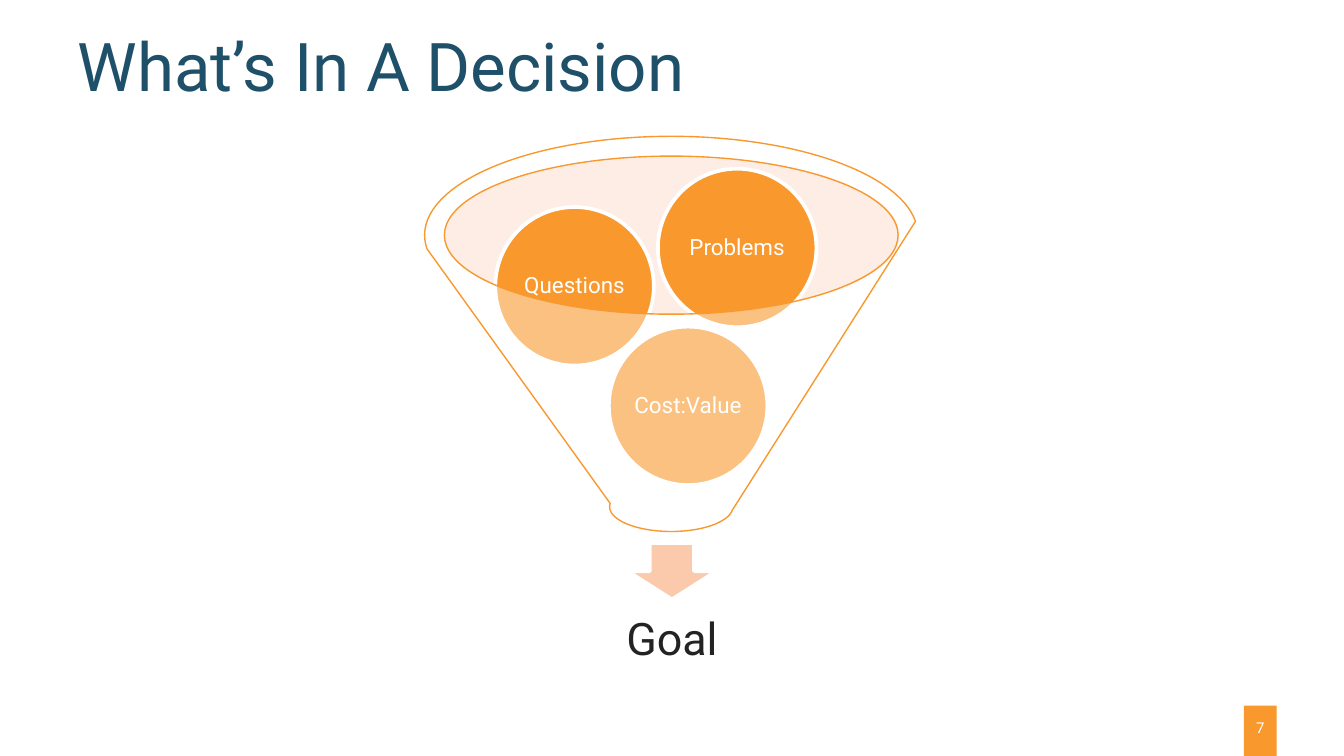
from typing import NamedTuple, Optional

from lxml.etree import SubElement
from pptx import Presentation
from pptx.dml.color import RGBColor as RGB
from pptx.enum.shapes import MSO_SHAPE as Kind
from pptx.enum.text import MSO_ANCHOR as Anchor, MSO_AUTO_SIZE as Auto, PP_ALIGN as Align
from pptx.oxml.ns import qn
from pptx.util import Emu, Pt

PX = 4572  # 200 px to the inch
FONT = "Roboto"
NAVY = RGB(0x1F, 0x50, 0x6A)
ORANGE = RGB(0xF8, 0x98, 0x2D)
PEACH = RGB(0xFC, 0xD4, 0xBE)
SALMON = RGB(0xFB, 0xCA, 0xAD)
WHITE = RGB(0xFF, 0xFF, 0xFF)
INK = RGB(0x23, 0x23, 0x23)


class Box(NamedTuple):
    left: int
    top: int
    width: int
    height: int


class Ball(NamedTuple):
    label: str
    left: int
    top: int


BALL = 236  # diameter
BALLS = [
    Ball("Cost:Value", 906, 486),
    Ball("Questions", 737, 308),
    Ball("Problems", 979, 251),
]


def px(num: int) -> Emu:
    return Emu(num * PX)


def place(box: Box) -> list[Emu]:
    return [px(num) for num in box]


def write(shape, text: str, size: int, color: RGB, align=Align.CENTER,
          inset: Optional[int] = None, wrap: bool = True):
    """Put one styled paragraph in a shape and return it."""
    frame = shape.text_frame
    frame.text = text
    frame.auto_size = Auto.NONE
    frame.word_wrap = wrap
    frame.vertical_anchor = Anchor.MIDDLE
    if inset is not None:
        frame.margin_left = frame.margin_right = px(inset)
        frame.margin_top = frame.margin_bottom = px(inset)
    para = frame.paragraphs[0]
    para.alignment = align
    font = para.font
    font.name, font.size, font.color.rgb = FONT, Pt(size), color
    return para


def draw(slide, kind: Kind, box: Box, fill: RGB, line: Optional[RGB] = None,
         width: float = 2, alpha: int = 100):
    """Add a preset shape; alpha is the fill's opacity in percent."""
    shape = slide.shapes.add_shape(kind, *place(box))
    shape.shadow.inherit = False
    shape.fill.solid()
    shape.fill.fore_color.rgb = fill
    if alpha < 100:
        tint = shape.fill._xPr.find(qn("a:solidFill"))[0]
        SubElement(tint, qn("a:alpha"), val=str(alpha * 1000))
    if line is None:
        shape.line.fill.background()
    else:
        shape.line.color.rgb = line
        shape.line.width = Pt(width)
    return shape


def main() -> None:
    deck = Presentation()
    deck.slide_width, deck.slide_height = px(2000), px(1125)
    slide = deck.slides.add_slide(deck.slide_layouts[5])

    # Title
    title = slide.shapes.title
    title.left, title.top, title.width, title.height = place(Box(96, 49, 1800, 112))
    para = write(title, "What’s In A Decision", 36, NAVY, Align.LEFT)
    para.line_spacing = Pt(35)
    title.text_frame.vertical_anchor = Anchor.TOP

    # Page number
    page = draw(slide, Kind.RECTANGLE, Box(1851, 1050, 49, 75), ORANGE)
    write(page, "7", 8, WHITE, wrap=False)
    page.text_frame.margin_top = 0

    # Funnel mouth, arrow and goal
    draw(slide, Kind.OVAL, Box(661, 232, 678, 236), PEACH, alpha=40)
    draw(slide, Kind.DOWN_ARROW, Box(934, 808, 132, 84), SALMON, WHITE)
    goal = slide.shapes.add_textbox(*place(Box(685, 875, 630, 158)))
    write(goal, "Goal", 24, INK, inset=38).line_spacing = 0.9

    # Balls, seen through the funnel in front of them
    for ball in BALLS:
        disc = draw(slide, Kind.OVAL, Box(ball.left, ball.top, BALL, BALL), ORANGE, WHITE)
        write(disc, ball.label, 12, WHITE, inset=0).line_spacing = 0.9
    draw(slide, Kind.FUNNEL, Box(632, 203, 734, 588), WHITE, ORANGE, 0.75, alpha=40)

    deck.save("out.pptx")


if __name__ == "__main__":
    main()
